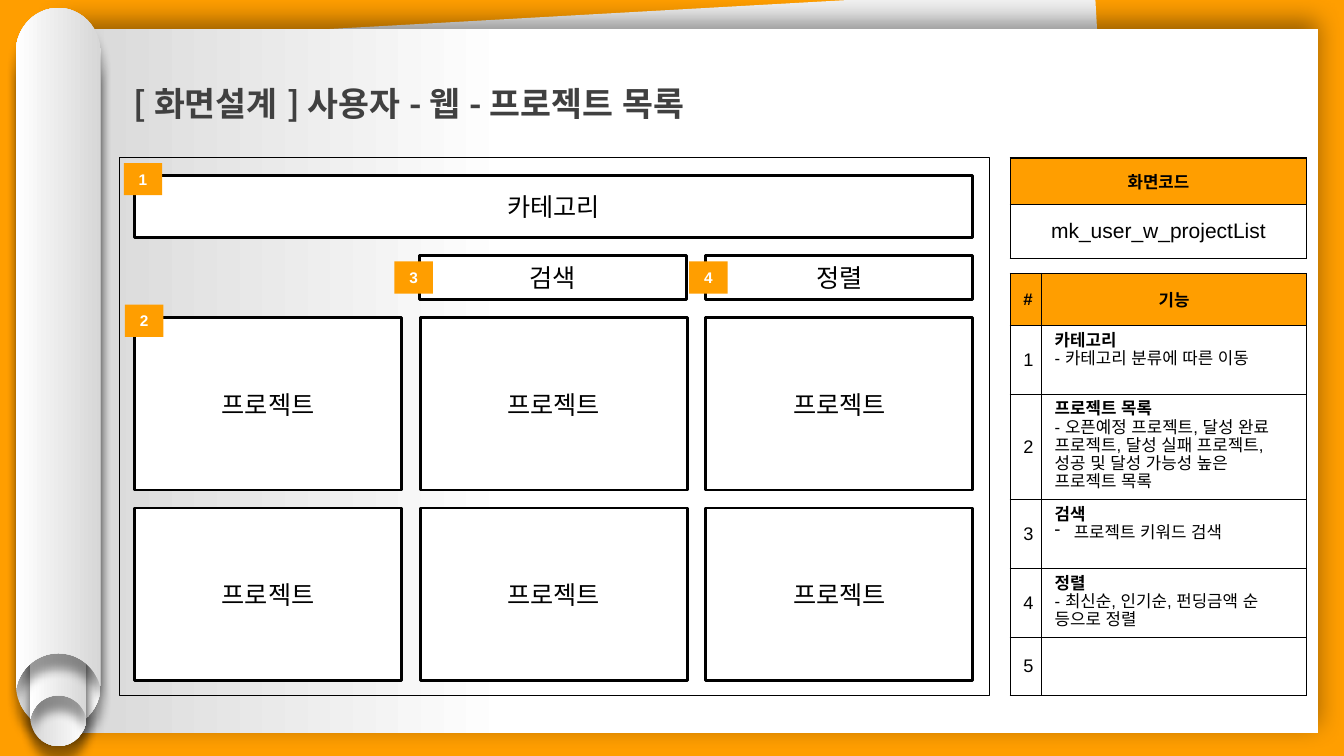
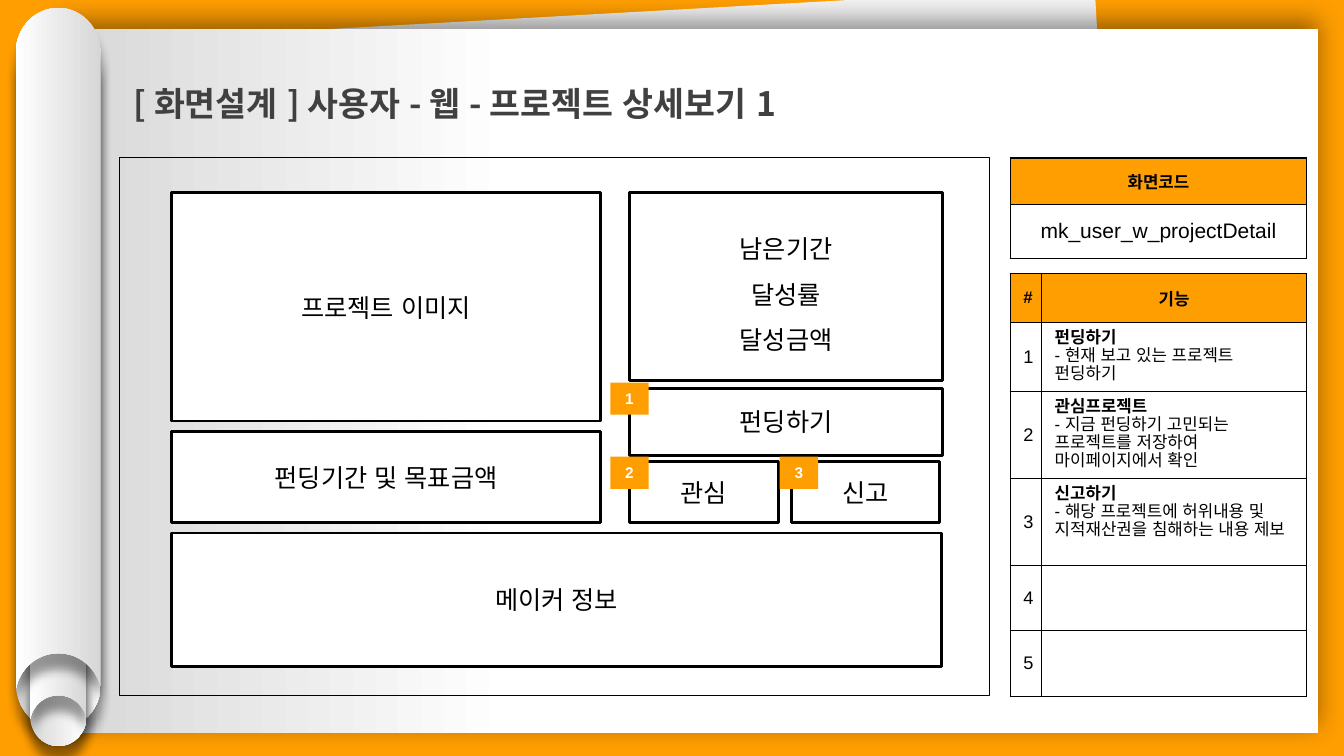
from lxml import etree
from pptx import Presentation
from pptx import util as u
from pptx.dml.color import RGBColor
from pptx.enum import lang, shapes, text
from pptx.oxml import ns

ORANGE = RGBColor(0xFF, 0x9E, 0x00)
WHITE = RGBColor(0xFF, 0xFF, 0xFF)
BLACK = RGBColor(0x00, 0x00, 0x00)
CHARCOAL = RGBColor(0x40, 0x40, 0x40)
PALE = RGBColor(0xF2, 0xF2, 0xF2)
SHADE = RGBColor(0xD7, 0xD7, 0xD7)
LATIN = "Arial"
HANGUL = "Noto Sans CJK KR"
CENTER = text.PP_ALIGN.CENTER

GRID_LEFT, GRID_STEP, CARD_WIDTH = 3.39, 7.2, 6.73
CARD_TOPS, CARD_HEIGHT = (8.01, 12.8), 4.34
ROLL_CENTER = 1.47
ROLLS = [
    (1.07, 1.22, 17.15, 180),
    (0.71, 7.32, 11.48, 180),
    (0.71, 6.63, 11.48, 0),
    (1.07, 0.2, 17.15, 0),
]
CURVE_STARTS = (0, 5, 8, 13)

SCREENS = [
    {
        "title": "[ 화면설계 ] 사용자 - 웹 - 프로젝트 목록",
        "code": "mk_user_w_projectList",
        "header_height": 1.32,
        "functions": [
            (1.73, "카테고리", "- 카테고리 분류에 따른 이동"),
            (2.65, "프로젝트 목록",
             "- 오픈예정 프로젝트, 달성 완료 프로젝트, 달성 실패 프로젝트, "
             "성공 및 달성 가능성 높은 프로젝트 목록"),
            (1.73, "검색", "프로젝트 키워드 검색"),
            (1.73, "정렬", "- 최신순, 인기순, 펀딩금액 순 등으로 정렬"),
            (1.47, "", ""),
        ],
        "areas": [
            ("카테고리", GRID_LEFT, 4.42, 2 * GRID_STEP + CARD_WIDTH, 1.57),
        ] + [
            ("프로젝트", GRID_LEFT + column * GRID_STEP, top, CARD_WIDTH, CARD_HEIGHT)
            for top in CARD_TOPS for column in range(3)
        ] + [
            ("정렬", GRID_LEFT + 2 * GRID_STEP, 6.43, CARD_WIDTH, 1.12),
            ("검색", GRID_LEFT + GRID_STEP - 0.02, 6.43, CARD_WIDTH, 1.12),
        ],
        "markers": [(3.12, 4.11), (3.15, 7.68), (9.94, 6.59), (17.37, 6.59)],
    },
    {
        "title": "[ 화면설계 ] 사용자 - 웹 - 프로젝트 상세보기 1",
        "code": "mk_user_w_projectDetail",
        "header_height": 1.24,
        "functions": [
            (1.73, "펀딩하기", "- 현재 보고 있는 프로젝트 펀딩하기"),
            (2.18, "관심프로젝트",
             "- 지금 펀딩하기 고민되는 프로젝트를 저장하여 마이페이지에서 확인"),
            (2.18, "신고하기",
             "- 해당 프로젝트에 허위내용 및 지적재산권을 침해하는 내용 제보"),
            (1.65, "", ""),
            (1.65, "", ""),
        ],
        "areas": [
            ("프로젝트 이미지", 4.32, 4.86, 10.82, 5.75),
            ("펀딩기간 및 목표금액", 4.32, 10.87, 10.82, 2.3),
            ("남은기간\n달성률\n달성금액", 15.86, 4.86, 7.9, 4.72),
            ("메이커 정보", 4.32, 13.43, 19.41, 3.37),
            ("펀딩하기", 15.86, 9.79, 7.9, 1.68),
            ("관심", 15.86, 11.64, 3.76, 1.53),
            ("신고", 19.94, 11.64, 3.73, 1.53),
        ],
        "markers": [(15.38, 9.64), (15.38, 11.51), (19.65, 11.51)],
    },
]


def write(frame, words, size, color=BLACK, bold=False, align=CENTER, spacing=None, font=LATIN):
    frame.text = words
    for paragraph in frame.paragraphs:
        paragraph.alignment = align
        paragraph.line_spacing = spacing
        for run in paragraph.runs:
            run.font.name = font
            run.font.size = u.Pt(size)
            run.font.bold = bold
            run.font.color.rgb = color
            run.font.language_id = lang.MSO_LANGUAGE_ID.KOREAN
            east_asian = etree.SubElement(run.font._element, ns.qn("a:ea"))
            east_asian.set("typeface", HANGUL)


def add_box(slide, left, top, width, height, fill=None, border=None):
    box = slide.shapes.add_shape(
        shapes.MSO_SHAPE.RECTANGLE, u.Cm(left), u.Cm(top), u.Cm(width), u.Cm(height))
    box.shadow.inherit = False
    if fill is None:
        box.fill.background()
    else:
        box.fill.solid()
        box.fill.fore_color.rgb = fill
    if border is None:
        box.line.fill.background()
    else:
        box.line.color.rgb = BLACK
        box.line.width = u.Pt(border)
    box.text_frame.vertical_anchor = text.MSO_ANCHOR.MIDDLE
    return box


deck = Presentation()
deck.slide_width = u.Cm(33.87)
deck.slide_height = u.Cm(19.05)
backdrop = deck.slide_master.background.fill
backdrop.solid()
backdrop.fore_color.rgb = ORANGE

for screen in SCREENS:
    slide = deck.slides.add_slide(deck.slide_layouts[6])

    back_sheet = add_box(slide, 2.31, 0.36, 25.78, 17.27, PALE)
    back_sheet.rotation = 356.8
    front_sheet = add_box(slide, 1.47, 0.74, 31.75, 17.74)
    paper = [(front_sheet, (64, WHITE), (100, SHADE), 18, 6, 270)]

    for radius, top, height, turn in ROLLS:
        bottom = top + height
        right_half = [
            (0, top), (0.55, top), (1, top + 0.47 * radius), (1, top + 1.05 * radius),
            (1, bottom), (0.95, bottom - 0.17 * radius), (0.79, bottom - 0.57 * radius),
            (0.43, bottom - 0.83 * radius), (0, bottom - 0.83 * radius),
        ]
        left_half = [(-x, y) for x, y in reversed(right_half[:-1])]
        outline = [(u.Cm(ROLL_CENTER + radius * x), u.Cm(y)) for x, y in right_half + left_half]
        builder = slide.shapes.build_freeform(*outline[0])
        builder.add_line_segments(outline[1:], close=True)
        roll = builder.convert_to_shape()
        segments = list(roll._element.iter(ns.qn("a:lnTo")))
        for start in CURVE_STARTS:
            curve = etree.Element(ns.qn("a:cubicBezTo"))
            segments[start].addprevious(curve)
            for segment in segments[start:start + 3]:
                curve.append(segment[0])
                segment.getparent().remove(segment)
        roll.rotation = turn
        roll.line.fill.background()
        roll.shadow.inherit = False
        paper.append((roll, (0, SHADE), (100, WHITE), 7, 11, 90))

    for piece, first, last, blur, distance, direction in paper:
        piece.fill.gradient()
        piece.fill.gradient_angle = 180
        for stop, (position, color) in zip(piece.fill.gradient_stops, (first, last)):
            stop.position = position / 100
            stop.color.rgb = color
        effects = piece._element.spPr.find(ns.qn("a:effectLst"))
        cast = etree.SubElement(
            effects, ns.qn("a:outerShdw"), blurRad=str(u.Pt(blur)), dist=str(u.Pt(distance)),
            dir=str(direction * 60000), algn="ctr", rotWithShape="0")
        tint = etree.SubElement(cast, ns.qn("a:srgbClr"), val=str(BLACK))
        etree.SubElement(tint, ns.qn("a:alpha"), val="40000")

    title = slide.shapes.add_textbox(u.Cm(3.12), u.Cm(1.45), u.Cm(24.41), u.Cm(1.8)).text_frame
    title.word_wrap = True
    title.auto_size = text.MSO_AUTO_SIZE.SHAPE_TO_FIT_TEXT
    write(title, screen["title"], 24, CHARCOAL, True, text.PP_ALIGN.LEFT, 1.5, HANGUL)

    code_rows = [(1.17, ["화면코드"]), (1.37, [screen["code"]])]
    function_rows = [(screen["header_height"], ["#", "기능"])]
    for number, (height, name, detail) in enumerate(screen["functions"], 1):
        function_rows.append((height, [str(number), f"{name}\n{detail}" if name else ""]))

    for top, widths, rows, body_size in [
        (3.98, [7.47], code_rows, 15),
        (6.89, [0.79, 6.68], function_rows, 13),
    ]:
        table = slide.shapes.add_table(
            len(rows), len(widths), u.Cm(25.46), u.Cm(top), u.Cm(sum(widths)),
            u.Cm(sum(height for height, words in rows))).table
        table.horz_banding = False
        for column, width in zip(table.columns, widths):
            column.width = u.Cm(width)
        for row_index, (height, row_words) in enumerate(rows):
            table.rows[row_index].height = u.Cm(height)
            for column_index, words in enumerate(row_words):
                cell = table.cell(row_index, column_index)
                cell.margin_left = cell.margin_right = u.Cm(0.33)
                cell.margin_top = cell.margin_bottom = u.Cm(0.18)
                for side in ("a:lnL", "a:lnR", "a:lnT", "a:lnB"):
                    rule = etree.SubElement(
                        cell._tc.get_or_add_tcPr(), ns.qn(side), w=str(u.Pt(1)))
                    ink = etree.SubElement(rule, ns.qn("a:solidFill"))
                    etree.SubElement(ink, ns.qn("a:srgbClr"), val=str(BLACK))
                if row_index == 0:
                    cell.fill.solid()
                    cell.fill.fore_color.rgb = ORANGE
                else:
                    cell.fill.background()
                if row_index and column_index:
                    write(cell.text_frame, words, 12, align=text.PP_ALIGN.LEFT, spacing=u.Pt(13))
                    for run in cell.text_frame.paragraphs[0].runs:
                        run.font.bold = True
                    for detail in cell.text_frame.paragraphs[1:]:
                        if not detail.text.startswith("-"):
                            layout = detail._p.get_or_add_pPr()
                            layout.set("marL", str(u.Cm(0.48)))
                            layout.set("indent", str(u.Cm(-0.48)))
                            etree.SubElement(layout, ns.qn("a:buFontTx"))
                            etree.SubElement(layout, ns.qn("a:buChar"), char="-")
                else:
                    cell.vertical_anchor = text.MSO_ANCHOR.MIDDLE
                    write(cell.text_frame, words, body_size if row_index else 12,
                          bold=row_index == 0)
        if table.columns[0].width > u.Cm(1):
            add_box(slide, 3.02, 3.98, 21.92, 13.54, border=0.75)

    for label, *place in screen["areas"]:
        area = add_box(slide, *place, fill=WHITE, border=2)
        write(area.text_frame, label, 18, spacing=1.5 if "\n" in label else None)

    for number, (left, top) in enumerate(screen["markers"], 1):
        marker = add_box(slide, left, top, 0.97, 0.81, ORANGE)
        write(marker.text_frame, str(number), 11, WHITE, True)

deck.save("out.pptx")
